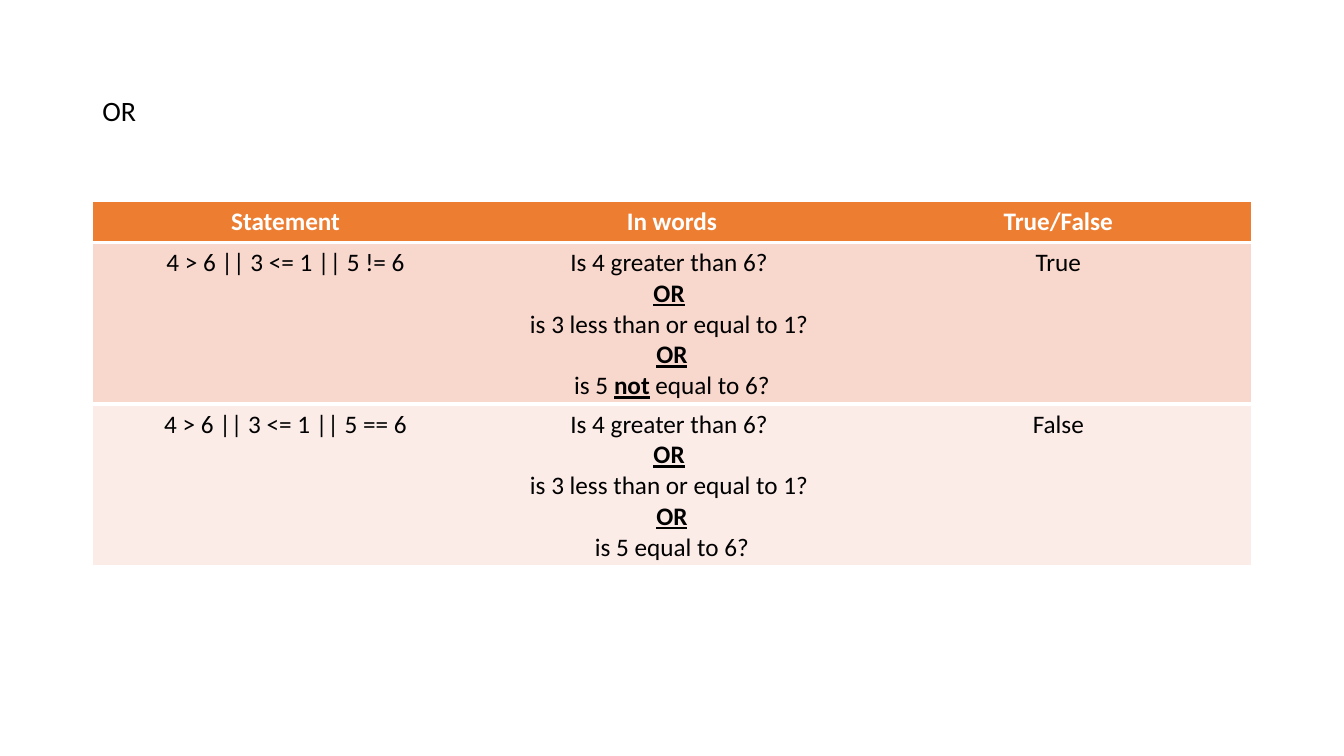
from lxml import etree
from pptx import Presentation, util as u
from pptx.dml.color import RGBColor
from pptx.enum import text
from pptx.oxml.ns import qn

PX = 9525
FONT = "Calibri"
WHITE, BLACK, ORANGE = "FFFFFF", "000000", "ED7D31"
ROW_TINTS = ["F8D7CD", "FCECE8"]
NO_STYLE = "{2D5ABB26-0587-4C30-8999-92F81FD0307C}"
HEADINGS = ["Statement", "In words", "True/False"]
QUESTIONS = ["Is 4 greater than 6? ", "*OR* ", "is 3 less than or equal to 1? ", "*OR*"]
EXAMPLES = [
    ["4 > 6 || 3 <= 1 || 5 != 6", QUESTIONS + ["is 5 *not* equal to 6?"], "True"],
    ["4 > 6 || 3 <= 1 || 5 == 6", QUESTIONS + ["is 5 equal to 6?"], "False"],
]


def px(length):
    """Turn px into EMU."""
    return u.Emu(length * PX)


def rgb(color):
    """Turn a hex string into a colour."""
    return RGBColor.from_string(color)


def add_run(paragraph, words, size, color, bold=False, underline=False):
    """Add one styled run to a paragraph."""
    run = paragraph.add_run()
    run.text = words
    run.font.name, run.font.size = FONT, u.Pt(size)
    run.font.bold, run.font.underline = bold, underline
    run.font.color.rgb = rgb(color)


def add_title(slide, box, words):
    """Place the slide title, centred vertically in its box."""
    title = slide.shapes.add_textbox(*map(px, box)).text_frame
    title.word_wrap = True
    title.vertical_anchor = text.MSO_ANCHOR.MIDDLE
    title.paragraphs[0].line_spacing = 0.9
    add_run(title.paragraphs[0], words, 20, BLACK)


def fill_cell(cell, lines, fill, color, heading=False):
    """Write centred lines in a cell; words between asterisks are emphasised."""
    cell.fill.solid()
    cell.fill.fore_color.rgb = rgb(fill)
    frame = cell.text_frame
    for number, line in enumerate(lines):
        paragraph = frame.add_paragraph() if number else frame.paragraphs[0]
        paragraph.alignment = text.PP_ALIGN.CENTER
        for index, words in enumerate(line.split("*")):
            if words:
                strong = index % 2 == 1
                add_run(paragraph, words, 18, color, heading or strong, strong)


def set_borders(cell, widths):
    """Draw white borders on the sides named in widths, in points."""
    properties = cell._tc.get_or_add_tcPr()
    sides = [side for side in "LRTB" if side in widths]
    for index, side in enumerate(sides):
        border = etree.Element(qn("a:ln" + side), w=str(u.Pt(widths[side])))
        solid = etree.SubElement(border, qn("a:solidFill"))
        etree.SubElement(solid, qn("a:srgbClr"), val=WHITE)
        properties.insert(index, border)


def add_truth_table(slide, box, heading_height):
    """Place the table of statements, their wording and their values."""
    left, top, width, height = box
    rows, columns = len(EXAMPLES) + 1, len(HEADINGS)
    frame = slide.shapes.add_table(rows, columns, *map(px, box))
    table = frame.table
    table._tbl.tblPr.find(qn("a:tableStyleId")).text = NO_STYLE
    for column in table.columns:
        column.width = px(width // columns)
    for number, row in enumerate(table.rows):
        example_height = (height - heading_height) // len(EXAMPLES)
        row.height = px(example_height if number else heading_height)

    for r, entries in enumerate([HEADINGS] + EXAMPLES):
        for c, entry in enumerate(entries):
            cell = table.cell(r, c)
            lines = [entry] if isinstance(entry, str) else entry
            if r == 0:
                fill_cell(cell, lines, ORANGE, WHITE, heading=True)
            else:
                fill_cell(cell, lines, ROW_TINTS[(r - 1) % 2], BLACK)
            widths = {"T": 1, "B": 3} if r == 0 else {}
            if r == 1:
                widths["T"] = 3
            if r == rows - 1:
                widths["B"] = 1
            if c == 0:
                widths["L"] = 1
            if c == columns - 1:
                widths["R"] = 1
            set_borders(cell, widths)


def main():
    """Build the slide and save it."""
    deck = Presentation()
    deck.slide_width, deck.slide_height = px(1280), px(720)
    slide = deck.slides.add_slide(deck.slide_layouts[6])
    add_title(slide, (88, 38, 1104, 139), "OR")
    add_truth_table(slide, (88, 192, 1104, 347), heading_height=39)
    deck.save("out.pptx")


if __name__ == "__main__":
    main()
